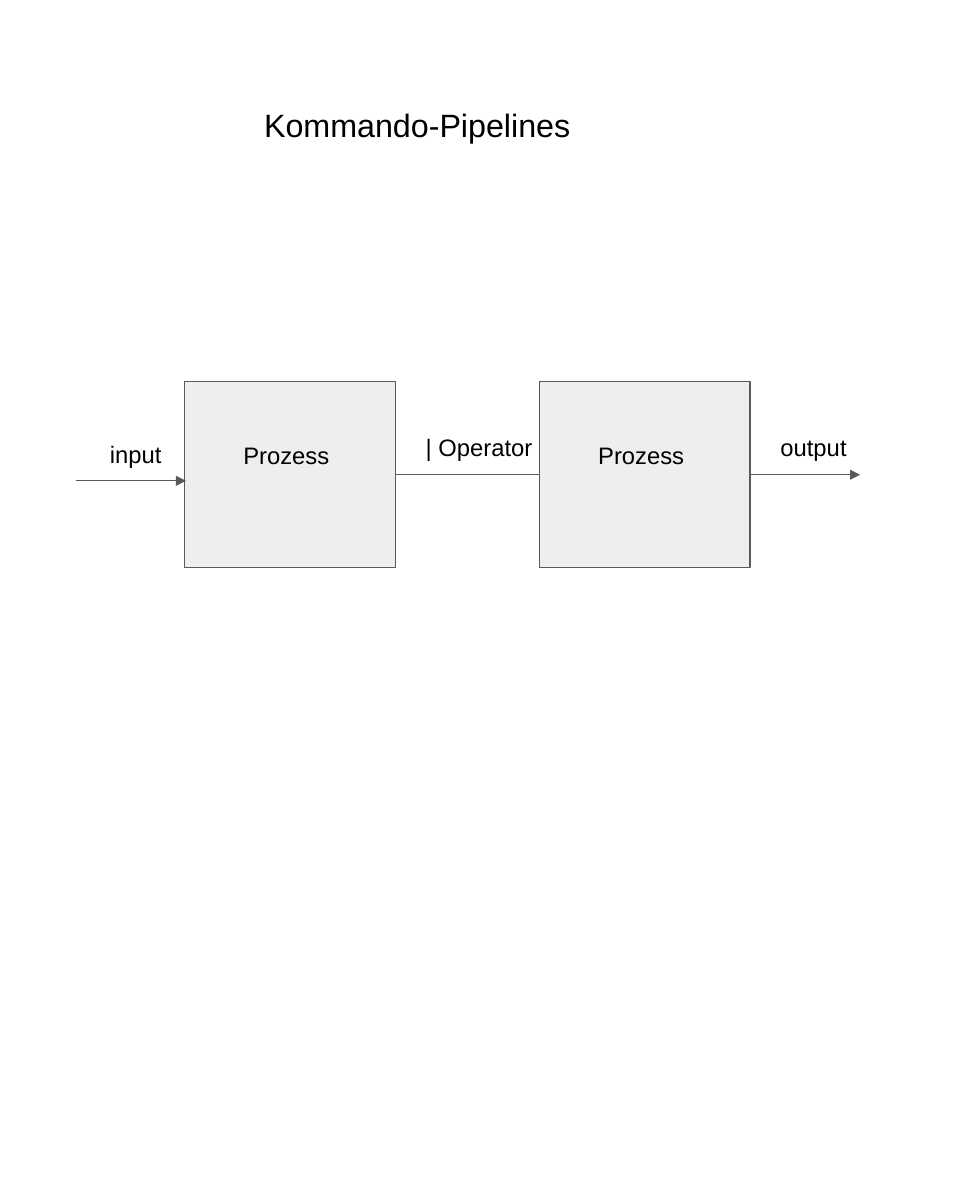
import pptx
import pptx.dml.color
import pptx.enum.shapes
import pptx.enum.text
import pptx.oxml.ns
import pptx.util
from lxml import etree

Pt = pptx.util.Pt
BLACK = pptx.dml.color.RGBColor(0x00, 0x00, 0x00)
GRAY = pptx.dml.color.RGBColor(0x59, 0x59, 0x59)
LIGHT = pptx.dml.color.RGBColor(0xEE, 0xEE, 0xEE)

FONT = "Arial"
LINE_WIDTH = 0.75
INSET = 7.2
BOX_TOP, BOX_W, BOX_H = 224.64, 123.84, 109.44
BOX_LEFTS = (108.72, 317.52)
FLOW_Y = BOX_TOP + BOX_H / 2
LABEL_H = 31.68


def add_label(s, text, left, top, width, height=LABEL_H, size=14):
    sp = s.shapes.add_textbox(Pt(left), Pt(top), Pt(width), Pt(height))
    tf = sp.text_frame
    tf.word_wrap = True
    tf.auto_size = pptx.enum.text.MSO_AUTO_SIZE.SHAPE_TO_FIT_TEXT
    tf.margin_left = tf.margin_right = Pt(INSET)
    tf.margin_top = tf.margin_bottom = Pt(INSET)
    r = tf.paragraphs[0].add_run()
    r.text = text
    r.font.name = FONT
    r.font.size = Pt(size)
    r.font.color.rgb = BLACK


def add_process(s, left):
    """Add a process box with its label."""
    sp = s.shapes.add_shape(
        pptx.enum.shapes.MSO_SHAPE.FLOWCHART_PROCESS,
        Pt(left), Pt(BOX_TOP), Pt(BOX_W), Pt(BOX_H))
    sp.shadow.inherit = False
    sp.fill.solid()
    sp.fill.fore_color.rgb = LIGHT
    sp.line.color.rgb = GRAY
    sp.line.width = Pt(LINE_WIDTH)
    add_label(s, "Prozess", left + 27.36, BOX_TOP + 27.36, 90.72)


def add_arrow(s, x1, x2, y):
    """Add a horizontal arrow pointing at x2."""
    cn = s.shapes.add_connector(
        pptx.enum.shapes.MSO_CONNECTOR.STRAIGHT, Pt(x1), Pt(y), Pt(x2), Pt(y))
    cn.line.color.rgb = GRAY
    cn.line.width = Pt(LINE_WIDTH)
    qn = pptx.oxml.ns.qn
    etree.SubElement(cn.line._get_or_add_ln(), qn("a:tailEnd"), type="triangle")
    etree.SubElement(cn._element.spPr, qn("a:effectLst"))


def main():
    prs = pptx.Presentation()
    prs.slide_width, prs.slide_height = Pt(566.64), Pt(708.48)
    s = prs.slides.add_slide(prs.slide_layouts[6])
    first, second = BOX_LEFTS

    add_process(s, first)
    add_label(s, "Kommando-Pipelines", 148.32, 54.72, 476.64, 37.44, size=19)
    # The pipe arrow ends beneath the second process box.
    add_arrow(s, first + BOX_W, 326.16, FLOW_Y)
    add_arrow(s, 44.64, 109.44, 282.96)
    add_label(s, "input", 57.6, 251.28, 64.8)
    add_label(s, "| Operator", 243.36, 247.68, 102.24)
    add_process(s, second)
    add_arrow(s, second + BOX_W, 506.16, FLOW_Y)
    add_label(s, "output", 452.16, 247.68, 108)

    prs.save("out.pptx")


if __name__ == "__main__":
    main()
